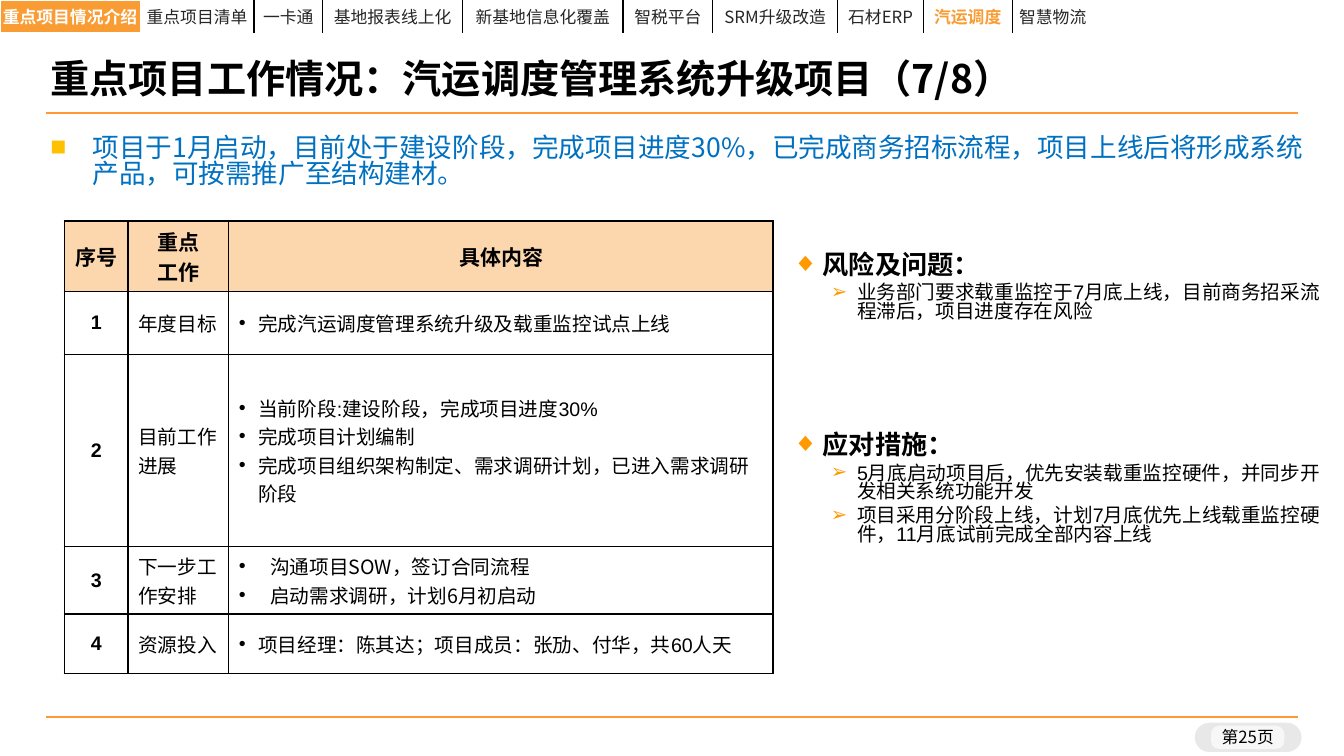
from lxml.etree import SubElement as Sub, Element as Elem
from pptx import Presentation as Deck
from pptx.dml.color import RGBColor as Rgb
from pptx.enum.shapes import MSO_CONNECTOR as Link, MSO_SHAPE as Form
from pptx.enum.text import MSO_ANCHOR as Anchor, MSO_AUTO_SIZE as Fit, PP_ALIGN as Align
from pptx.oxml.ns import qn
from pptx.util import Inches, Pt

BLACK = Rgb(0, 0, 0)
WHITE = Rgb(255, 255, 255)
INK = Rgb(0x26, 0x26, 0x26)
BLUE = Rgb(0x00, 0x70, 0xC0)
GOLD = Rgb(0xFF, 0xC0, 0x00)
AMBER = Rgb(0xFF, 0x99, 0x00)
RULE = Rgb(0xFF, 0x99, 0x33)
ACCENT = Rgb(0xF8, 0x9C, 0x33)
PEACH = Rgb(0xFC, 0xD7, 0xAD)

NOTO = "Noto Sans CJK SC"
ARIAL = "Arial"

HEAD = dict(size=Pt(18.7), name=ARIAL, bold=True)
POINT = dict(size=Pt(14), name=ARIAL, bold=False)
STRONG = dict(POINT, bold=True)
TOP = dict(size=Pt(15), name=ARIAL, bold=True)
NOTE = dict(size=Pt(14), name=NOTO, bold=False)
TAB = dict(size=Pt(12), name=NOTO, bold=False)

TABS = ["重点项目情况介绍", "重点项目清单", "一卡通", "基地报表线上化", "新基地信息化覆盖",
        "智税平台", "SRM升级改造", "石材ERP", "汽运调度", "智慧物流"]
TITLE = "重点项目工作情况：汽运调度管理系统升级项目（7/8）"
BRIEF = ("项目于1月启动，目前处于建设阶段，完成项目进度30%，已完成商务招标流程，"
         "项目上线后将形成系统产品，可按需推广至结构建材。")
WORK = [
    ("年度目标", ["完成汽运调度管理系统升级及载重监控试点上线"], POINT, 0.19),
    ("目前工作进展", ["当前阶段:建设阶段，完成项目进度30%", "完成项目计划编制",
                "完成项目组织架构制定、需求调研计划，已进入需求调研阶段"], POINT, 0.19),
    ("下一步工作安排", ["沟通项目SOW，签订合同流程", "启动需求调研，计划6月初启动"], NOTE, 0.31),
    ("资源投入", ["项目经理：陈其达；项目成员：张劢、付华，共60人天"], POINT, 0.19),
]
RISKS = ["业务部门要求载重监控于7月底上线，目前商务招采流程滞后，项目进度存在风险"]
STEPS = ["5月底启动项目后，优先安装载重监控硬件，并同步开发相关系统功能开发",
         "项目采用分阶段上线，计划7月底优先上线载重监控硬件，11月底试前完成全部内容上线"]


def apply(item, values):
    for key, value in values.items():
        setattr(item, key, value)


def bullet(para, mark, left, hang, color=None):
    props = para._p.get_or_add_pPr()
    props.set("marL", str(Inches(left)))
    props.set("indent", str(-Inches(hang)))
    if color is not None:
        Sub(Sub(props, qn("a:buClr")), qn("a:srgbClr"), val=str(color))
    Sub(props, qn("a:buFont"), typeface=ARIAL)
    Sub(props, qn("a:buChar"), char=mark)


def write(frame, text, font, color=BLACK, mark=None, **props):
    para = frame.paragraphs[0]
    first = not para.runs
    if not first:
        para = frame.add_paragraph()
    if mark:
        bullet(para, *mark)
    apply(para, dict(dict(space_before=Pt(0)), **props))
    if first:
        para.space_before = Pt(0)
    run = para.add_run()
    run.text = text
    apply(run.font, font)
    run.font.color.rgb = color
    Sub(run._r.get_or_add_rPr(), qn("a:ea"), typeface=NOTO)


def place(shape, box, pads, anchor):
    for key, value in zip(("left", "top", "width", "height"), box):
        setattr(shape, key, Inches(value))
    frame = shape.text_frame
    apply(frame, dict(word_wrap=True, auto_size=Fit.NONE, vertical_anchor=anchor))
    inset(frame, pads)
    return frame


def inset(item, pads):
    for side, pad in zip(("left", "top", "right", "bottom"), pads):
        setattr(item, "margin_" + side, Inches(pad))


def outline(shape, box, head, points):
    frame = place(shape, box, (0.13, 0.12, 0.13, 0.07), Anchor.TOP)
    write(frame, head, HEAD, mark=("◆", 0.3, 0.3, AMBER), line_spacing=0.8)
    for point in points:
        write(frame, point, POINT, mark=("➢", 0.64, 0.26, AMBER),
              level=1, space_before=Pt(3.8), line_spacing=0.8)


def border(cell, sides):
    props = cell._tc.get_or_add_tcPr()
    for spot, (side, width) in enumerate(sides):
        line = Elem(qn("a:ln" + side), w=str(Pt(width)))
        Sub(Sub(line, qn("a:solidFill")), qn("a:srgbClr"), val=str(BLACK))
        props.insert(spot, line)


def shade(cell, color, pads):
    cell.vertical_anchor = Anchor.MIDDLE
    inset(cell, pads)
    if color is None:
        cell.fill.background()
    else:
        cell.fill.solid()
        cell.fill.fore_color.rgb = color
    return cell.text_frame


def grid(slide, left, top, cols, rows):
    table = slide.shapes.add_table(len(rows), len(cols), Inches(left), Inches(top),
                                   Inches(sum(cols)), Inches(sum(rows))).table
    apply(table, dict(first_row=False, horz_banding=False))
    for col, width in zip(table.columns, cols):
        col.width = Inches(width)
    for row, height in zip(table.rows, rows):
        row.height = Inches(height)
    return table


def add_tabs(slide):
    table = grid(slide, 0, 0, [1.39, 1.13, 0.68, 1.39, 1.59, 0.89, 1.24, 0.85, 0.88, 3.26], [0.29])
    last = len(TABS) - 1
    looks = {0: (WHITE, True), 8: (ACCENT, True)}
    for spot, text in enumerate(TABS):
        cell = table.cell(0, spot)
        color, bold = looks.get(spot, (INK, False))
        pad = 0.07 if spot == last else 0
        frame = shade(cell, None if spot else ACCENT, (pad, 0.04, 0, 0.04))
        write(frame, text, dict(TAB, bold=bold), color,
              alignment=Align.LEFT if spot == last else Align.CENTER)
        sides = [("L", 1)] if spot > 1 else []
        if 0 < spot < last:
            sides.append(("R", 1))
        border(cell, sides)


def add_work(slide):
    table = grid(slide, 0.64, 2.19, [0.63, 1, 5.4], [0.65, 0.62, 1.91, 0.62, 0.59])
    for row in range(len(WORK) + 1):
        for col in range(3):
            cell = table.cell(row, col)
            shade(cell, None if row else PEACH, (0.1, 0.05, 0.1, 0.05))
            border(cell, [("L", 1 if col else 1.5), ("R", 1.5 if col == 2 else 1),
                          ("T", 1 if row else 1.5), ("B", 1)])
    for col, lines in enumerate((["序号"], ["重点", "工作"], ["具体内容"])):
        for line in lines:
            write(table.cell(0, col).text_frame, line, TOP, alignment=Align.CENTER)
    for row, (name, points, font, hang) in enumerate(WORK, 1):
        write(table.cell(row, 0).text_frame, str(row), STRONG, alignment=Align.CENTER)
        write(table.cell(row, 1).text_frame, name, POINT)
        for point in points:
            write(table.cell(row, 2).text_frame, point, font, mark=("•", hang, hang))


def add_rule(slide, top):
    line = slide.shapes.add_connector(Link.STRAIGHT, Inches(0.46), Inches(top),
                                      Inches(12.87), Inches(top))
    line.line.color.rgb = RULE
    line.line.width = Pt(1.5)
    Sub(line._element.spPr, qn("a:effectLst"))


def add_pill(slide, box, color, alpha, round_by):
    pill = slide.shapes.add_shape(Form.ROUNDED_RECTANGLE, *map(Inches, box))
    pill.adjustments[0] = round_by
    pill.shadow.inherit = False
    pill.line.fill.background()
    pill.fill.solid()
    pill.fill.fore_color.rgb = color
    tint = pill._element.spPr.find(".//" + qn("a:srgbClr"))
    Sub(tint, qn("a:alpha"), val=str(alpha * 1000))


def add_page(slide):
    add_pill(slide, (11.85, 7.17, 1.06, 0.29), BLACK, 9, 0.5)
    add_pill(slide, (12.01, 7.2, 0.73, 0.23), WHITE, 66, 0.36)
    box = (11.84, 7.17, 1.07, 0.31)
    label = slide.shapes.add_textbox(*map(Inches, box))
    frame = place(label, box, (0, 0.04, 0, 0.04), Anchor.MIDDLE)
    write(frame, "第25页", TAB, alignment=Align.CENTER, line_spacing=0.85)


def main():
    deck = Deck()
    apply(deck, dict(slide_width=Inches(13.33), slide_height=Inches(7.5)))
    slide = deck.slides.add_slide(deck.slide_layouts[4])
    title, brief, risks, spare, steps = slide.placeholders
    spare._element.getparent().remove(spare._element)
    for top in (1.12, 7.11):
        add_rule(slide, top)
    add_page(slide)
    frame = place(brief, (0.37, 1.25, 12.84, 1.14), (0.13, 0.1, 0.13, 0.07), Anchor.TOP)
    write(frame, BRIEF, dict(size=Pt(19), name=NOTO, bold=False), BLUE,
          mark=("■", 0.42, 0.42, GOLD), line_spacing=0.83)
    frame = place(title, (0.37, 0.29, 10.6, 1.02), (0.13, 0.07, 0.13, 0.07), Anchor.MIDDLE)
    write(frame, TITLE, dict(size=Pt(28), name=NOTO, bold=True),
          alignment=Align.LEFT, line_spacing=0.9)
    add_work(slide)
    outline(risks, (7.73, 2.4, 5.62, 1.35), "风险及问题：", RISKS)
    outline(steps, (7.73, 4.19, 5.56, 1.86), "应对措施：", STEPS)
    add_tabs(slide)
    deck.save("out.pptx")


if __name__ == "__main__":
    main()
